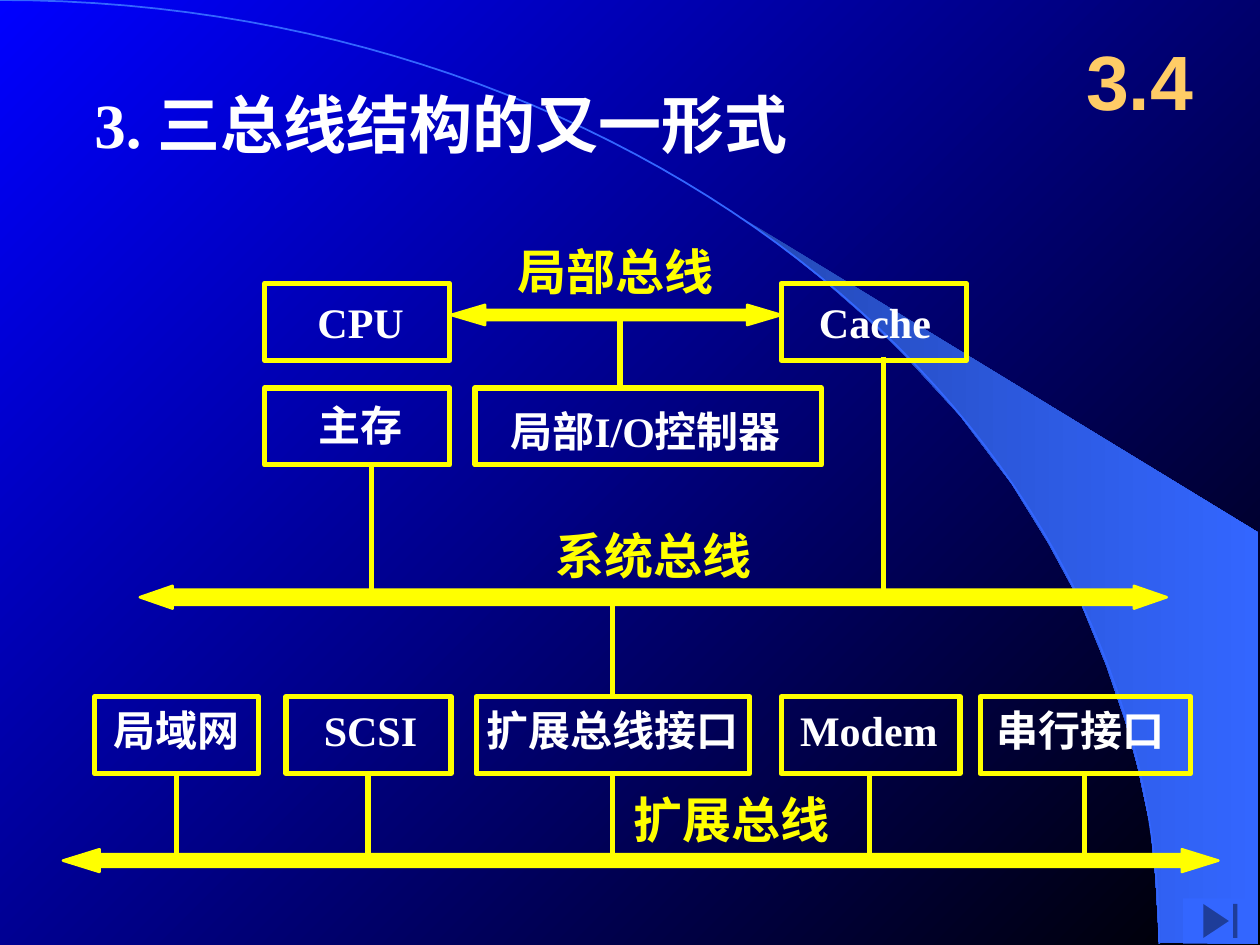
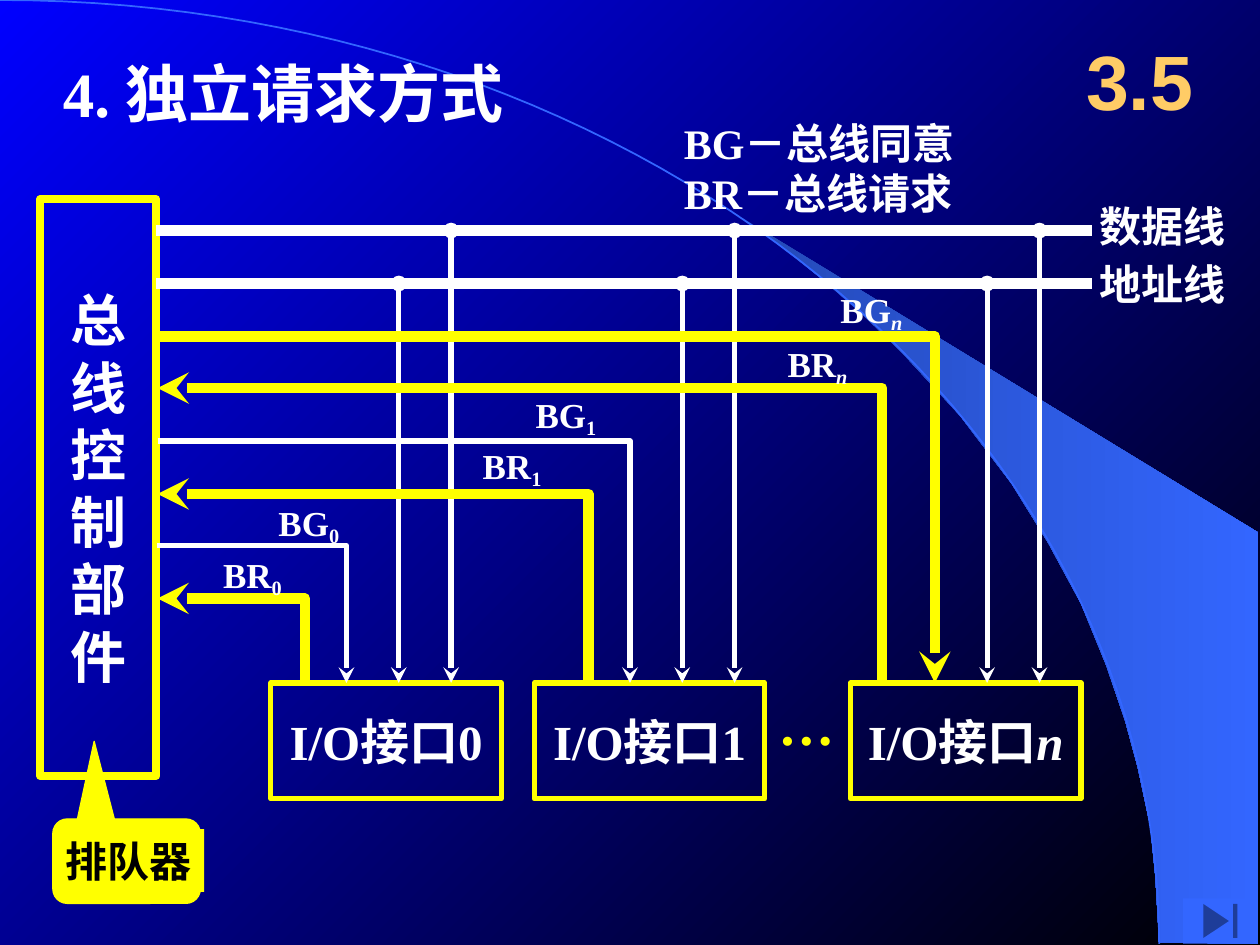
from dataclasses import dataclass
from lxml.etree import SubElement
from pptx import Presentation
from pptx.dml.color import RGBColor
from pptx.enum.shapes import MSO_CONNECTOR, MSO_SHAPE
from pptx.enum.text import MSO_ANCHOR, MSO_AUTO_SIZE, PP_ALIGN
from pptx.oxml.ns import qn
from pptx.util import Inches, Pt


@dataclass(frozen=True)
class Theme:
    blue: str = "0000FF"
    black: str = "000000"
    white: str = "FFFFFF"
    yellow: str = "FFFF00"
    gold: str = "FFCC66"
    sky: str = "3366FF"
    dusk: str = "2449B6"
    serif: str = "Times New Roman"
    sans: str = "Arial"
    chinese: str = "Noto Sans CJK SC"
    number: int = 44
    heading: int = 36
    large: int = 32
    medium: int = 28
    body: int = 24
    small: int = 20
    padding: tuple = (0.1, 0.05, 0.1, 0.05)


class Deck:
    def __init__(self, theme):
        self.theme = theme
        self.presentation = Presentation()
        self.presentation.slide_width = Inches(10)
        self.presentation.slide_height = Inches(7.5)
        self.layout = self.presentation.slide_layouts[5]
        self.slide = None
        background = self.presentation.slide_master.background
        self.gradient(background.fill, theme.blue, theme.black, 315)

    def gradient(self, fill, first, last, angle):
        fill.gradient()
        fill.gradient_angle = angle
        for stop, color in zip(fill.gradient_stops, (first, last)):
            stop.color.rgb = RGBColor.from_string(color)

    def new_slide(self, number):
        """Start a slide with its section number and the forward button."""
        theme = self.theme
        self.slide = self.presentation.slides.add_slide(self.layout)
        title = self.slide.shapes.title
        place = dict(left=8.42, top=0.17, width=1.25, height=0.92)
        for name, value in place.items():
            setattr(title, name, Inches(value))
        self.fill_text(title.text_frame, [number], theme.number, theme.gold,
                       font=theme.sans, align=PP_ALIGN.CENTER, anchor=MSO_ANCHOR.MIDDLE)
        self.box(9.39, 7.13, 0.59, 0.36, kind=MSO_SHAPE.ACTION_BUTTON_END,
                 fill=theme.sky, line=None)

    def backdrop(self):
        """Draw the swoosh and move it to the layout, behind everything."""
        theme = self.theme
        edge = [(5.89, 1.73), (6.24, 1.99), (6.53, 2.22), (6.85, 2.5), (7.16, 2.8),
                (7.62, 3.3), (8.03, 3.84), (8.32, 4.31), (8.58, 4.79), (8.78, 5.28),
                (8.93, 5.72), (9.03, 6.09), (9.13, 6.56), (9.17, 6.96), (9.2, 7.48)]
        beam = self.outline(edge + [(9.99, 7.49), (9.99, 4.23)], closed=True)
        self.gradient(beam.fill, theme.dusk, theme.sky, 0)
        steps = [step / 60 for step in range(61)]
        curve = [(3 * t * (1 - t) ** 2 * 5.08 + 3 * t ** 2 * (1 - t) * 9.2 + t ** 3 * 9.2,
                  3 * t ** 2 * (1 - t) * 3.35 + t ** 3 * 7.49) for t in steps]
        arc = self.outline(curve, line=theme.sky, width=1)
        for position, shape in enumerate((beam, arc), 2):
            self.layout.shapes.element.insert(position, shape.element)

    def fill_text(self, frame, paragraphs, size, color, font=None, align=PP_ALIGN.LEFT,
                  anchor=MSO_ANCHOR.TOP, wrap=True, padding=None):
        """Fill a frame; a paragraph is a string or a list of (text, style)."""
        frame.auto_size = MSO_AUTO_SIZE.NONE
        frame.word_wrap = wrap
        frame.vertical_anchor = anchor
        sides = ("left", "top", "right", "bottom")
        for side, value in zip(sides, padding or self.theme.padding):
            setattr(frame, f"margin_{side}", Inches(value))
        for index, content in enumerate(paragraphs):
            paragraph = frame.add_paragraph() if index else frame.paragraphs[0]
            paragraph.alignment = align
            runs = [(content, "")] if isinstance(content, str) else content
            for text, style in runs:
                run = paragraph.add_run()
                run.text = text
                values = dict(name=font or self.theme.serif, size=Pt(size),
                              bold=True, italic="italic" in style)
                for name, value in values.items():
                    setattr(run.font, name, value)
                run.font.color.rgb = RGBColor.from_string(color)
                properties = run._r.get_or_add_rPr()
                SubElement(properties, qn("a:ea")).set("typeface", self.theme.chinese)
                if "sub" in style:
                    properties.set("baseline", "-20000")

    def text(self, left, top, width, height, paragraphs, size=None, color=None, **options):
        box = self.slide.shapes.add_textbox(*map(Inches, (left, top, width, height)))
        self.fill_text(box.text_frame, paragraphs, size or self.theme.body,
                       color or self.theme.white, **options)
        return box

    def label(self, left, top, width, height, content, **options):
        """Single-line text without padding."""
        return self.text(left, top, width, height, [content],
                         padding=(0, 0, 0, 0), **options)

    def paint(self, shape, fill, line, width):
        shape.shadow.inherit = False
        if fill:
            shape.fill.solid()
            shape.fill.fore_color.rgb = RGBColor.from_string(fill)
        else:
            shape.fill.background()
        self.stroke(shape, line, width)

    def stroke(self, shape, color, width, head=None, tail=None):
        if not color:
            shape.line.fill.background()
            return
        shape.line.color.rgb = RGBColor.from_string(color)
        shape.line.width = Pt(width)
        for tag, end in (("a:headEnd", head), ("a:tailEnd", tail)):
            if end:
                SubElement(shape.line._get_or_add_ln(), qn(tag)).set("type", end)

    def box(self, left, top, width, height, kind=MSO_SHAPE.RECTANGLE, fill=None,
            line=Theme.yellow, weight=3):
        shape = self.slide.shapes.add_shape(
            kind, *map(Inches, (left, top, width, height)))
        self.paint(shape, fill, line, weight)
        return shape

    def outline(self, points, fill=None, line=None, width=1, closed=False,
                head=None, tail=None):
        points = [(Inches(x), Inches(y)) for x, y in points]
        builder = self.slide.shapes.build_freeform(*points[0])
        builder.add_line_segments(points[1:], close=closed)
        shape = builder.convert_to_shape()
        self.paint(shape, fill, None, width)
        self.stroke(shape, line, width, head, tail)
        return shape

    def line(self, start, end, color=Theme.yellow, width=3, head=None, tail=None):
        connector = self.slide.shapes.add_connector(
            MSO_CONNECTOR.STRAIGHT, *map(Inches, start + end))
        self.stroke(connector, color, width, head, tail)
        SubElement(connector.element.spPr, qn("a:effectLst"))

    def bus(self, left, right, y, head, wing, shaft):
        """Horizontal double arrow; wing and shaft are half heights."""
        inner_left, inner_right = left + head, right - head
        upper = [(inner_left, y - wing), (inner_left, y - shaft),
                 (inner_right, y - shaft), (inner_right, y - wing)]
        lower = [(x, 2 * y - height) for x, height in reversed(upper)]
        self.outline([(left, y)] + upper + [(right, y)] + lower,
                     fill=self.theme.yellow, line=self.theme.yellow,
                     width=1.5, closed=True)


theme = Theme()
deck = Deck(theme)

# Slide 1: three buses
deck.new_slide("3.4")
deck.backdrop()
deck.text(0.65, 0.63, 5.7, 1.3, ["3. 三总线结构的又一形式"], theme.heading)

# Vertical links: x, top, bottom
for x, top, bottom in [(4.92, 2.5, 3.08), (2.95, 3.68, 4.76), (7.01, 2.83, 4.75),
                       (4.86, 4.76, 5.53)]:
    deck.line((x, top), (x, bottom))
for x in (1.4, 2.92, 4.86, 6.9, 8.61):
    deck.line((x, 6.14), (x, 6.84))

# Buses and their names
deck.bus(3.58, 6.2, 2.5, 0.27, 0.08, 0.04)
deck.bus(1.11, 9.26, 4.74, 0.26, 0.09, 0.06)
deck.bus(0.5, 9.67, 6.83, 0.29, 0.09, 0.05)
for left, top, name in [(4.11, 1.92, "局部总线"), (4.41, 4.17, "系统总线"),
                        (5.03, 6.27, "扩展总线")]:
    deck.label(left, top, 1.56, 0.47, name, size=theme.medium, color=theme.yellow,
               font=theme.chinese, wrap=False)

# Units: box left, top, width, then text left, top, name, font
units = [
    (2.1, 2.25, 1.47, 2.52, 2.35, "CPU", theme.serif),
    (6.2, 2.25, 1.47, 6.5, 2.35, "Cache", theme.serif),
    (2.1, 3.08, 1.47, 2.53, 3.17, "主存", theme.chinese),
    (3.77, 3.08, 2.75, 4.05, 3.22, "局部I/O控制器", theme.serif),
    (0.75, 5.53, 1.3, 0.9, 5.59, "局域网", theme.chinese),
    (2.27, 5.53, 1.31, 2.57, 5.59, "SCSI", theme.serif),
    (3.78, 5.53, 2.17, 3.86, 5.59, "扩展总线接口", theme.chinese),
    (6.2, 5.53, 1.42, 6.35, 5.59, "Modem", theme.serif),
    (7.78, 5.53, 1.67, 7.91, 5.59, "串行接口", theme.chinese),
]
for left, top, width, text_left, text_top, name, font in units:
    deck.box(left, top, width, 0.61)
    deck.label(text_left, text_top, width + 0.3, 0.4, name, font=font)

# Slide 2: independent requests
deck.new_slide("3.5")
deck.text(0.4, 0.38, 4.6, 0.7, ["4. 独立请求方式"], theme.heading)
deck.text(5.33, 0.88, 2.58, 0.9, ["BG－总线同意", "BR－总线请求"])

# Bus controller
controller = deck.box(0.32, 1.58, 0.92, 4.58, weight=4.5)
deck.fill_text(controller.text_frame, list("总线控制部件"), theme.large, theme.white,
               align=PP_ALIGN.CENTER, anchor=MSO_ANCHOR.MIDDLE, wrap=False)

# Data and address lines
data_y, address_y, port_y = 1.83, 2.25, 5.42
for y, text_top, name in [(data_y, 1.54, "数据线"), (address_y, 2, "地址线")]:
    deck.line((1.24, y), (8.67, y), theme.white, 6)
    deck.text(8.63, text_top, 1.21, 0.5, [name], wrap=False)

# Each interface: request and grant wires, then taps from both shared lines
interfaces = [
    # left, index, index style, request x and y, grant x and y, label places
    (2.15, "0", "", (2.42, 4.75), (2.75, 4.33), (1.77, 4.39), (2.21, 3.98)),
    (4.24, "1", "", (4.67, 3.92), (5, 3.5), (3.83, 3.53), (4.25, 3.12)),
    (6.75, "n", "italic", (7, 3.08), (7.42, 2.67), (6.25, 2.72), (6.67, 2.29)),
]
for left, index, style, request, grant, request_label, grant_label in interfaces:
    port = deck.box(left, port_y, 1.83, 0.92)
    deck.fill_text(port.text_frame, [[("I/O接口", ""), (index, style)]], theme.medium,
                   theme.white, align=PP_ALIGN.CENTER, anchor=MSO_ANCHOR.MIDDLE,
                   wrap=False)
    strong = index == "n"
    wires = [
        ("BR", request, request_label, theme.yellow, 6, dict(head="stealth")),
        ("BG", grant, grant_label, theme.yellow if strong else theme.white,
         6 if strong else 3, dict(tail="stealth")),
    ]
    for name, (x, y), place, color, width, ends in wires:
        deck.outline([(1.25, y), (x, y), (x, port_y)], line=color, width=width, **ends)
        deck.label(*place, 0.92, 0.33, [(name, ""), (index, style + "sub")],
                   size=theme.small)
    for step, y in enumerate((address_y, data_y), 1):
        x = grant[0] + 0.415 * step
        deck.line((x, y), (x, port_y), theme.white, 3, "oval", "stealth")
deck.text(6.08, 5.42, 0.65, 0.63, ["…"], theme.large, theme.yellow, wrap=False)

# Arbiter callout
callout = deck.box(0.42, 6.5, 1.17, 0.67, MSO_SHAPE.ROUNDED_RECTANGULAR_CALLOUT,
                   fill=theme.yellow, weight=0.75)
for position, value in enumerate((-0.22, -1.42, 0.17)):
    callout.adjustments[position] = value
arbiter = deck.box(0.42, 6.58, 1.2, 0.5, fill=theme.yellow, line=None)
deck.fill_text(arbiter.text_frame, ["排队器"], theme.body, theme.black, wrap=False)

deck.presentation.save("out.pptx")
